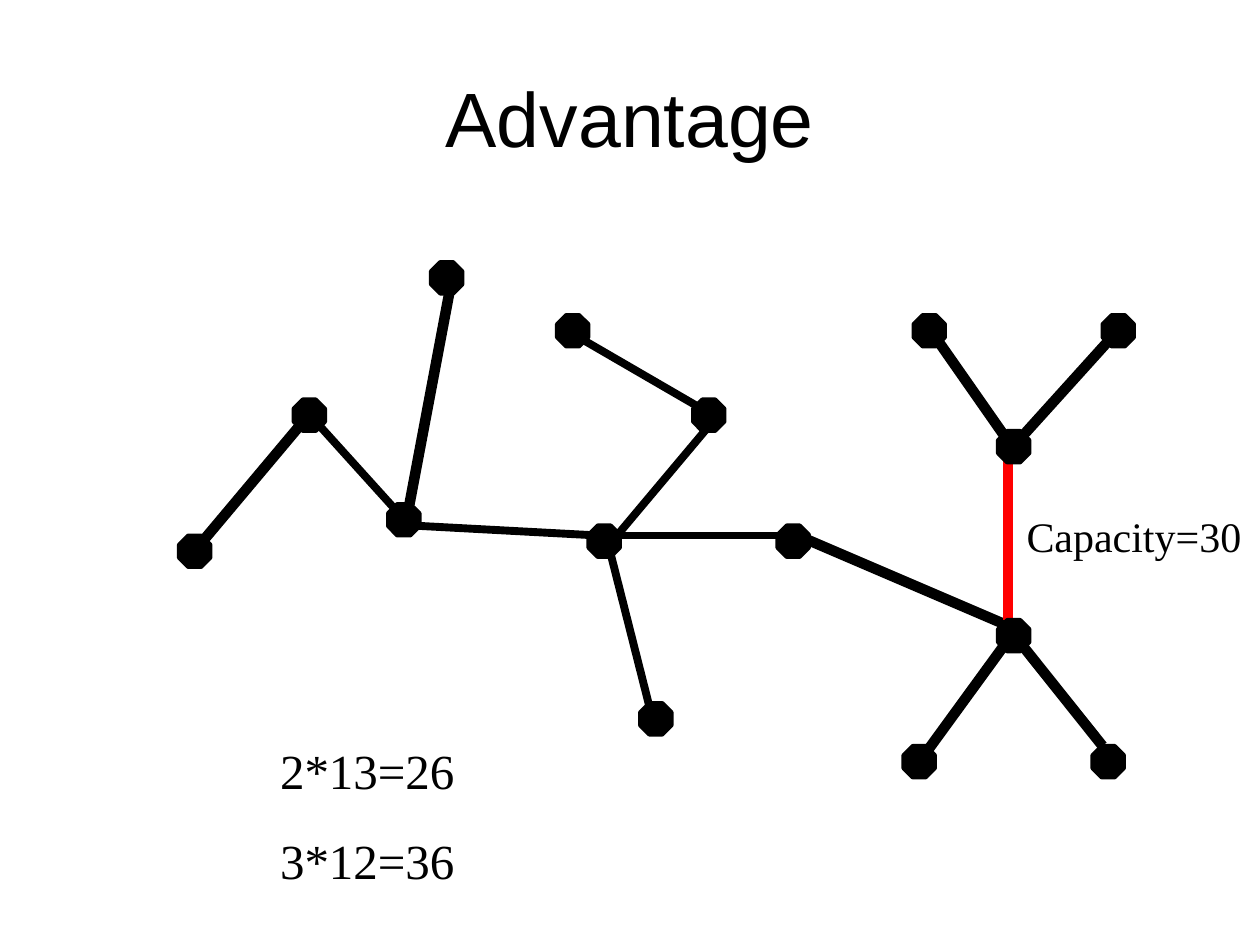
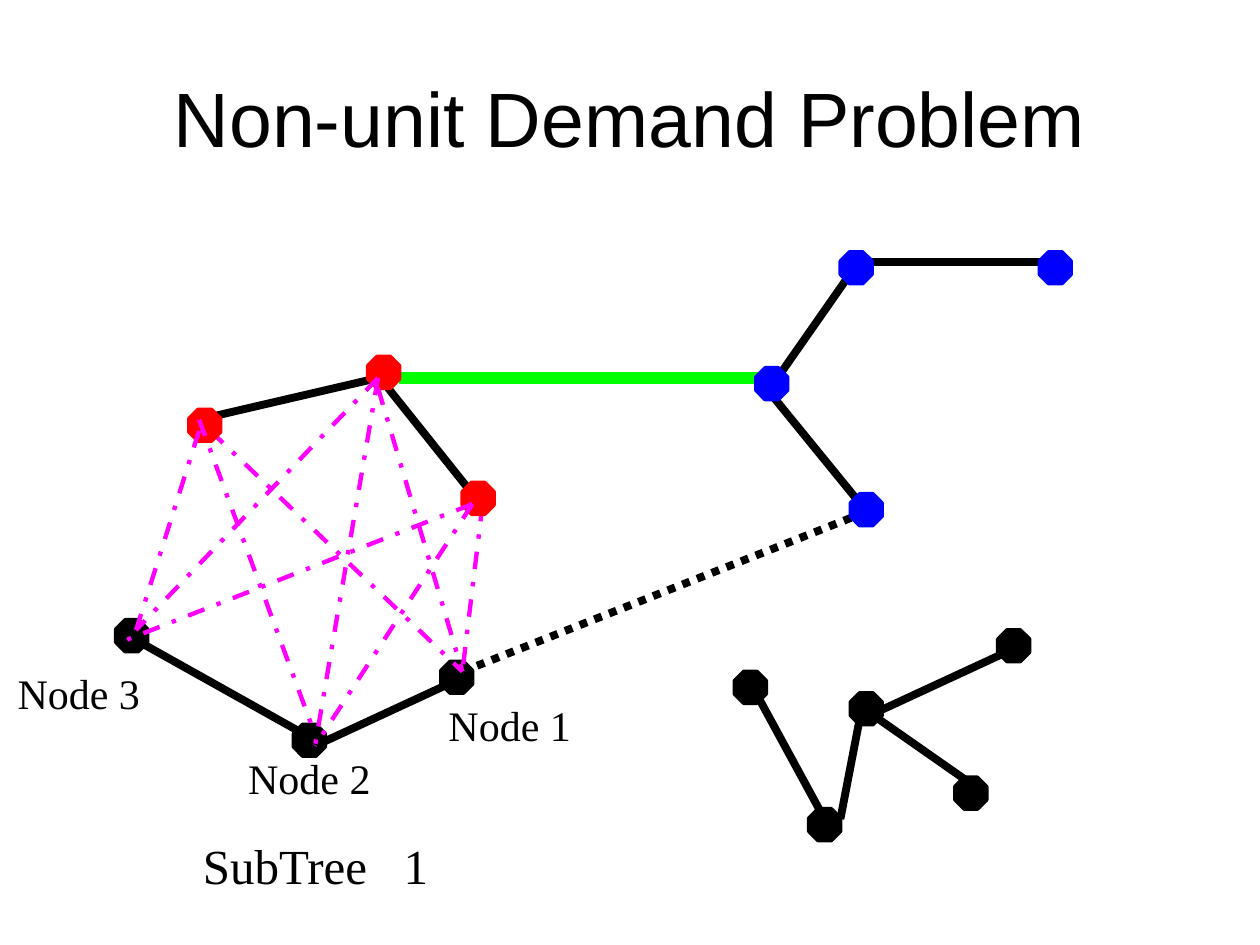
"""Build two slides of network tree diagrams: Advantage and Non-unit Demand Problem."""
from pptx import Presentation
from pptx.dml.color import RGBColor
from pptx.enum.dml import MSO_LINE
from pptx.enum.shapes import MSO_CONNECTOR, MSO_SHAPE
from pptx.enum.text import MSO_ANCHOR, MSO_AUTO_SIZE, PP_ALIGN
from pptx.oxml.ns import qn
from pptx.util import Inches, Pt
from lxml.etree import SubElement

BLACK = RGBColor(0x00, 0x00, 0x00)
RED = RGBColor(0xFF, 0x00, 0x00)
GREEN = RGBColor(0x00, 0xFF, 0x00)
BLUE = RGBColor(0x00, 0x00, 0xFF)
MAGENTA = RGBColor(0xFF, 0x00, 0xFF)
NODE_SIZE = 0.25


def draw_links(slide, color, width, links, dash=None):
    for x1, y1, x2, y2 in links:
        link = slide.shapes.add_connector(
            MSO_CONNECTOR.STRAIGHT, Inches(x1), Inches(y1), Inches(x2), Inches(y2))
        link.line.color.rgb = color
        link.line.width = Pt(width)
        if dash:
            link.line.dash_style = dash
        SubElement(link._element.spPr, qn("a:effectLst"))


def draw_nodes(slide, color, corners):
    for left, top in corners:
        node = slide.shapes.add_shape(
            MSO_SHAPE.OCTAGON, Inches(left), Inches(top), Inches(NODE_SIZE), Inches(NODE_SIZE))
        node.shadow.inherit = False
        node.fill.solid()
        node.fill.fore_color.rgb = color
        node.line.color.rgb = color
        node.line.width = Pt(2.25)


prs = Presentation()
prs.slide_width, prs.slide_height = Inches(10), Inches(7.5)
title_only = prs.slide_layouts[5]
advantage = prs.slides.add_slide(title_only)
demand = prs.slides.add_slide(title_only)

for slide, heading in [(advantage, "Advantage"), (demand, "Non-unit Demand Problem")]:
    title = slide.shapes.title
    title.left, title.top, title.width, title.height = (
        Inches(0.5), Inches(0.3), Inches(9), Inches(1.25))
    title.text_frame.text = heading
    title.text_frame.vertical_anchor = MSO_ANCHOR.MIDDLE
    paragraph = title.text_frame.paragraphs[0]
    paragraph.alignment = PP_ALIGN.CENTER
    font = paragraph.runs[0].font
    font.name, font.size, font.color.rgb = "Arial", Pt(44), BLACK

draw_links(advantage, BLACK, 4.5, [
    (5.67, 3.33, 4.83, 4.33), (3.25, 4.17, 4.75, 4.25), (2.42, 3.25, 3.17, 4.08),
    (4.83, 4.33, 5.17, 5.67), (4.58, 2.67, 5.58, 3.25), (4.83, 4.25, 6.25, 4.25)])
draw_links(advantage, BLACK, 6, [
    (7.42, 2.67, 8, 3.5), (1.58, 4.33, 2.42, 3.33), (8, 5.08, 7.33, 6),
    (8.08, 5.08, 8.75, 5.92), (8.83, 2.67, 8.08, 3.5), (3.58, 2.25, 3.25, 4),
    (6.33, 4.25, 8.08, 5)])
draw_links(advantage, RED, 6, [(8, 3.58, 8, 4.92)])
draw_nodes(advantage, BLACK, [
    (3.42, 2.08), (3.08, 4), (5.08, 5.58), (4.42, 2.5), (5.5, 3.17),
    (4.67, 4.17), (6.17, 4.17), (2.33, 3.17), (1.42, 4.25), (7.17, 5.92),
    (8.67, 5.92), (7.92, 4.92), (7.92, 3.42), (8.75, 2.5), (7.25, 2.5)])

draw_nodes(demand, BLACK, [
    (0.92, 4.92), (3.5, 5.25), (2.33, 5.75), (6.42, 6.42),
    (5.83, 5.33), (7.92, 5), (6.75, 5.5), (7.58, 6.17)])
draw_links(demand, GREEN, 7, [(3.17, 3, 6.08, 3)])
draw_links(demand, BLACK, 4.5, [
    (6.08, 3.08, 6.83, 4), (1.58, 3.33, 3, 3), (6.17, 3, 6.75, 2.17),
    (3.75, 3.92, 3.08, 3.08), (6.83, 2.08, 8.25, 2.08), (2.5, 5.92, 3.58, 5.42),
    (2.42, 5.83, 1.08, 5.08), (6.92, 5.67, 8, 5.17), (6.5, 6.42, 6, 5.5),
    (6.67, 6.5, 6.83, 5.67), (7.75, 6.25, 6.92, 5.67)])
draw_links(demand, MAGENTA, 2.5, [
    (3.83, 4, 3.67, 5.33), (1.67, 3.42, 3.67, 5.33)], MSO_LINE.DASH_DOT)
draw_links(demand, BLACK, 4.5, [(3.67, 5.33, 6.83, 4.08)], MSO_LINE.ROUND_DOT)
draw_nodes(demand, RED, [(2.92, 2.83), (1.5, 3.25), (3.67, 3.83)])
draw_nodes(demand, BLUE, [(6.75, 3.92), (6, 2.92), (6.67, 2), (8.25, 2)])
draw_links(demand, MAGENTA, 2.5, [
    (3, 3.08, 3.67, 5.33), (3.75, 4, 2.5, 5.92), (3.75, 4, 1, 5.08),
    (3, 3, 2.5, 5.92), (1.58, 3.33, 2.5, 5.83), (3, 3, 1.08, 5),
    (1.58, 3.42, 1.08, 5)], MSO_LINE.DASH_DOT)

captions = [
    (advantage, "Capacity=30", 24, 8, 4, 2, 0.5),
    (advantage, "2*13=26\n3*12=36", 28, 1.83, 5.83, 2.17, 1.28),
    (demand, "SubTree   1", 28, 1.42, 6.58, 2.17, 0.57),
    (demand, "Node 1", 24, 3.42, 5.5, 1.25, 0.5),
    (demand, "Node 3", 24, 0, 5.25, 1.25, 0.5),
    (demand, "Node 2", 24, 1.83, 5.92, 1.25, 0.5),
]
for slide, wording, size, left, top, width, height in captions:
    caption = slide.shapes.add_textbox(
        Inches(left), Inches(top), Inches(width), Inches(height)).text_frame
    caption.word_wrap = True
    caption.auto_size = MSO_AUTO_SIZE.SHAPE_TO_FIT_TEXT
    caption.text = wording
    for paragraph in caption.paragraphs:
        paragraph.alignment = PP_ALIGN.CENTER
        paragraph.space_before = Pt(size * 0.625)
        font = paragraph.runs[0].font
        font.name, font.size, font.color.rgb = "Times New Roman", Pt(size), BLACK

prs.save("out.pptx")
